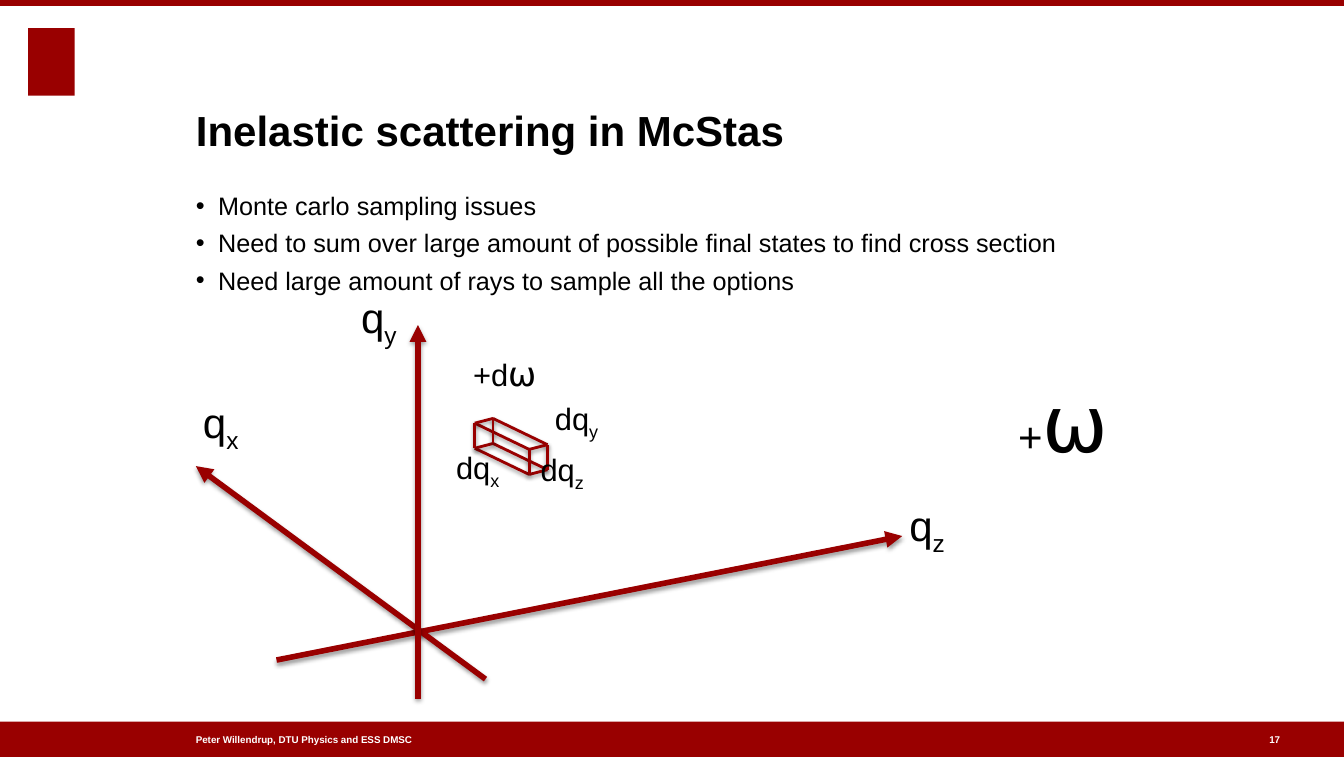
from dataclasses import dataclass
from itertools import product

from lxml.etree import SubElement
from pptx import Presentation
from pptx.dml.color import RGBColor
from pptx.enum.shapes import MSO_CONNECTOR as Conn, MSO_SHAPE as Shape
from pptx.enum.text import MSO_ANCHOR as Anchor, MSO_AUTO_SIZE as AutoSize, PP_ALIGN as Align
from pptx.oxml.ns import qn
from pptx.util import Cm, Pt


@dataclass(frozen=True)
class Theme:
    font: str = "Arial"
    red: RGBColor = RGBColor(0x99, 0x00, 0x00)
    black: RGBColor = RGBColor(0x00, 0x00, 0x00)
    white: RGBColor = RGBColor(0xFF, 0xFF, 0xFF)
    title: int = 30
    body: int = 18
    footer: int = 7
    axis: int = 30
    omega: int = 56
    delta: int = 22
    delta_omega: int = 24
    axis_line: int = 4
    box_line: int = 2


T = Theme()
WIDTH, HEIGHT = 33.83, 19.05
LEFT, TEXT_W = 4.93, 25.86

BULLETS = (
    "Monte carlo sampling issues",
    "Need to sum over large amount of possible final states to find cross section",
    "Need large amount of rays to sample all the options",
)
AXES = (
    ((6.96, 16.61), (22.71, 13.49)),
    ((12.22, 17.09), (4.93, 11.73)),
    ((10.52, 17.58), (10.52, 8.18)),
)
CELL_CORNER = (11.95, 11.28)
CELL_EDGES = ((1.37, 0.66), (0.46, -0.12), (0, -0.63))
SUBSCRIPT_LABELS = (
    (22.89, 12.57, "q", "z", T.axis),
    (5.11, 9.98, "q", "x", T.axis),
    (9.09, 7.34, "q", "y", T.axis),
    (13.97, 10.06, "dq", "y", T.delta),
    (11.48, 11.3, "dq", "x", T.delta),
    (13.61, 11.35, "dq", "z", T.delta),
)
OMEGA_LABELS = (
    (25.63, 9.42, 6.6, 2.29, "+", T.axis, T.omega),
    (11.91, 8.89, 1.88, 0.99, "+d", T.delta, T.delta_omega),
)


def assign(obj, values):
    for name, value in values.items():
        setattr(obj, name, value)


def add_run(p, text, size, color=T.black, bold=False, subscript=False):
    r = p.add_run()
    r.text = text
    assign(r.font, {"name": T.font, "size": Pt(size), "bold": bold})
    r.font.color.rgb = color
    if subscript:
        r._r.get_or_add_rPr().set("baseline", "-25000")


def set_frame(tf, anchor=Anchor.TOP, wrap=True):
    assign(tf, {
        "margin_left": 0, "margin_right": 0, "margin_top": 0, "margin_bottom": 0,
        "word_wrap": wrap, "vertical_anchor": anchor, "auto_size": AutoSize.NONE,
    })


def add_text(s, x, y, w, h, anchor=Anchor.TOP, wrap=True):
    tf = s.shapes.add_textbox(Cm(x), Cm(y), Cm(w), Cm(h)).text_frame
    set_frame(tf, anchor, wrap)
    return tf


def add_title(s, text):
    sp = s.shapes.title
    assign(sp, {"left": Cm(LEFT), "top": Cm(1.19), "width": Cm(TEXT_W), "height": Cm(2.7)})
    set_frame(sp.text_frame, Anchor.BOTTOM)
    p = sp.text_frame.paragraphs[0]
    p.alignment = Align.LEFT
    add_run(p, text, T.title, bold=True)


def add_bullets(s, items):
    tf = add_text(s, LEFT, 4.75, TEXT_W, 12.62)
    for i, item in enumerate(items):
        p = tf.add_paragraph() if i else tf.paragraphs[0]
        assign(p, {"line_spacing": 1.05, "space_before": Pt(4 if i else 0)})
        pPr = p._p.get_or_add_pPr()
        pPr.set("marL", str(Cm(0.56)))
        pPr.set("indent", str(-Cm(0.56)))
        SubElement(pPr, qn("a:buFont")).set("typeface", T.font)
        SubElement(pPr, qn("a:buChar")).set("char", "•")
        add_run(p, item, T.body)


def add_block(s, x, y, w, h):
    sp = s.shapes.add_shape(Shape.RECTANGLE, Cm(x), Cm(y), Cm(w), Cm(h))
    sp.shadow.inherit = False
    sp.fill.solid()
    sp.fill.fore_color.rgb = T.red
    sp.line.fill.background()


def add_footer(s, x, w, text, wrap=True):
    tf = add_text(s, x, 18.44, w, 0.36, Anchor.MIDDLE, wrap)
    add_run(tf.paragraphs[0], text, T.footer, T.white, bold=True)


def add_line(s, start, end, width, arrow=False):
    c = s.shapes.add_connector(Conn.STRAIGHT, *(Cm(v) for v in (*start, *end)))
    c.line.color.rgb = T.red
    c.line.width = Pt(width)
    if arrow:
        SubElement(c.line._get_or_add_ln(), qn("a:tailEnd")).set("type", "triangle")
    effects = SubElement(c._element.spPr, qn("a:effectLst"))
    shadow = SubElement(effects, qn("a:outerShdw"), {
        "blurRad": str(Pt(3)), "dist": str(Pt(1.6)), "dir": "5400000", "rotWithShape": "0",
    })
    color = SubElement(shadow, qn("a:srgbClr"), val=str(T.black))
    SubElement(color, qn("a:alpha"), val="38000")


def add_cell(s, corner, edges):
    for i, edge in enumerate(edges):
        first, second = edges[:i] + edges[i + 1:]
        for m, n in product((0, 1), repeat=2):
            start = [c + m * a + n * b for c, a, b in zip(corner, first, second)]
            end = [v + d for v, d in zip(start, edge)]
            add_line(s, start, end, T.box_line)


def main():
    prs = Presentation()
    assign(prs, {"slide_width": Cm(WIDTH), "slide_height": Cm(HEIGHT)})
    s = prs.slides.add_slide(prs.slide_layouts[5])

    add_block(s, 0.71, 0.71, 1.17, 1.7)
    add_block(s, 0, 18.16, WIDTH, 0.89)
    add_block(s, 0, 0, WIDTH, 0.15)
    add_footer(s, LEFT, 9.45, "Peter Willendrup, DTU Physics and ESS DMSC")
    add_footer(s, 31.95, 0.36, "17", wrap=False)
    add_title(s, "Inelastic scattering in McStas")
    add_bullets(s, BULLETS)

    for start, end in AXES:
        add_line(s, start, end, T.axis_line, arrow=True)
    add_cell(s, CELL_CORNER, CELL_EDGES)

    for x, y, base, sub, size in SUBSCRIPT_LABELS:
        p = add_text(s, x, y, 1.88, 1.37 if size == T.axis else 1.04).paragraphs[0]
        add_run(p, base, size)
        add_run(p, sub, size, subscript=True)
    for x, y, w, h, prefix, size, omega_size in OMEGA_LABELS:
        p = add_text(s, x, y, w, h).paragraphs[0]
        add_run(p, prefix, size)
        add_run(p, "⍵", omega_size)

    prs.save("out.pptx")


if __name__ == "__main__":
    main()
